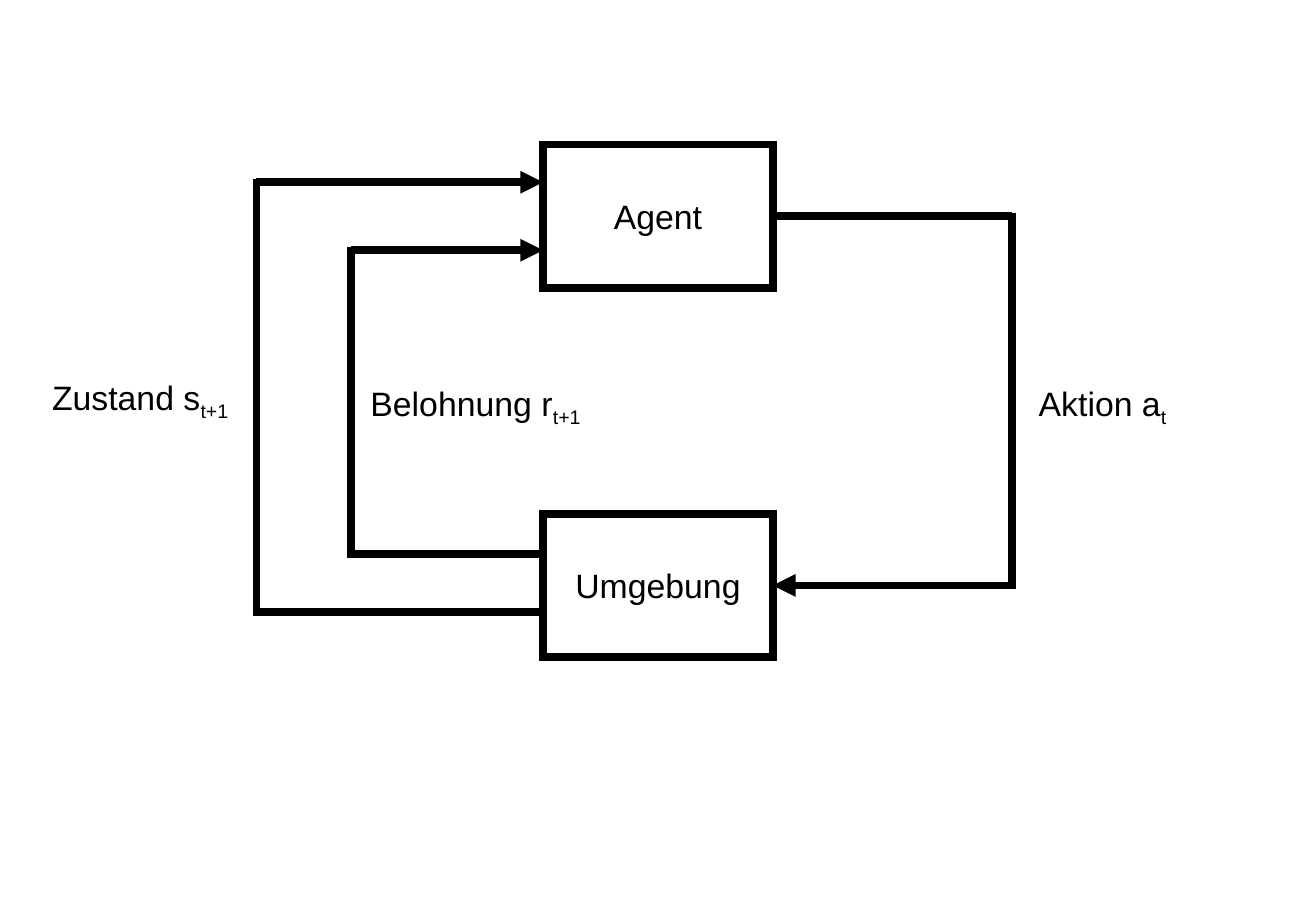
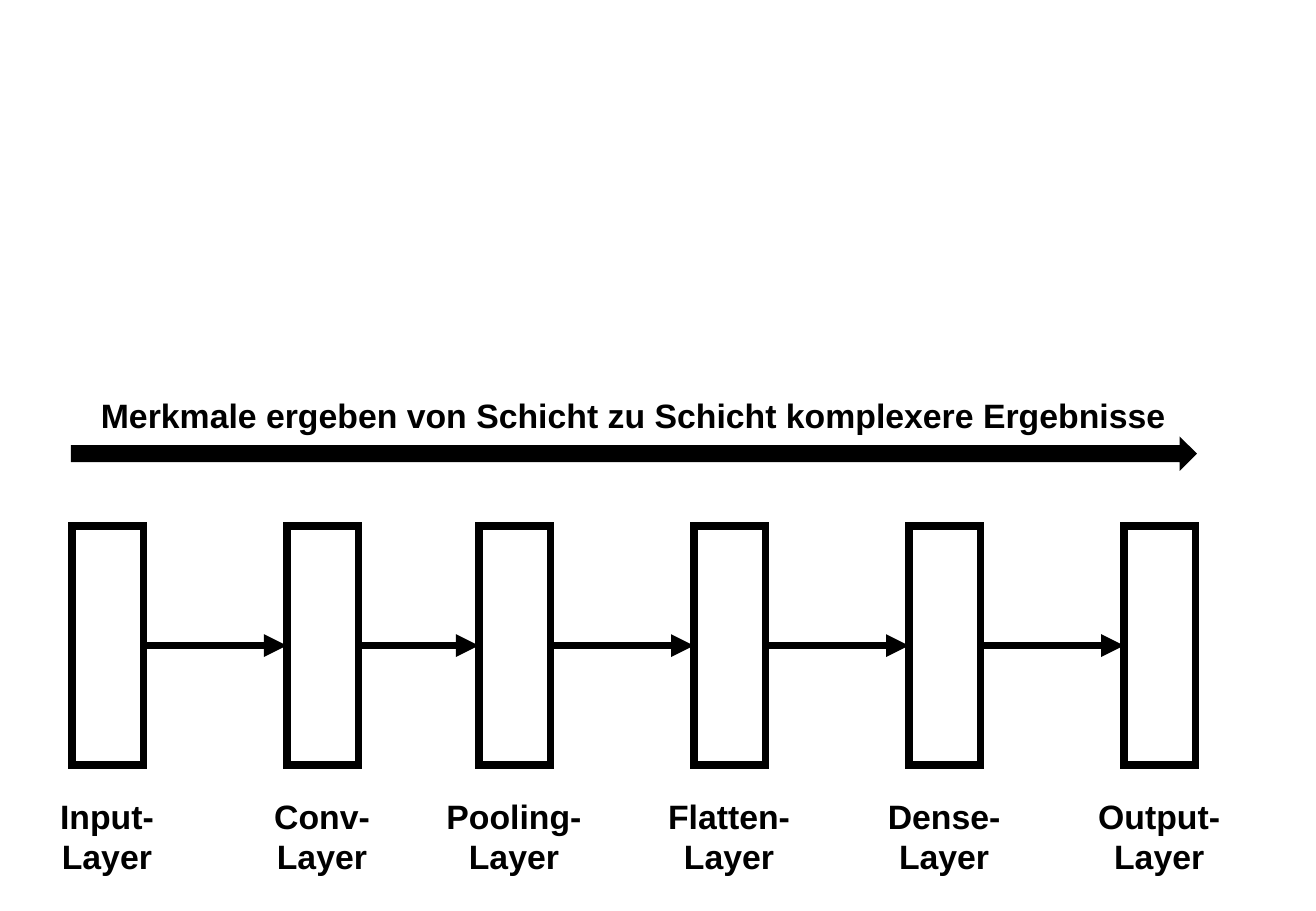
from dataclasses import dataclass
from itertools import pairwise

from lxml.etree import SubElement
from pptx import Presentation
from pptx.dml.color import RGBColor
from pptx.enum.shapes import MSO_CONNECTOR, MSO_SHAPE
from pptx.enum.text import MSO_ANCHOR, MSO_AUTO_SIZE, PP_ALIGN
from pptx.oxml.ns import qn
from pptx.shapes.autoshape import Shape
from pptx.shapes.connector import Connector
from pptx.slide import Slide
from pptx.text.text import TextFrame
from pptx.util import Emu, Pt

BLACK = "000000"
WHITE = "FFFFFF"
FONT = "Arial"
FONT_SIZE = 20
LINE_WIDTH = 4.5
LEFT_SIDE, RIGHT_SIDE = 1, 3
CORNER_OVERLAP = 3


@dataclass(frozen=True)
class Box:
    left: int
    top: int
    width: int
    height: int


@dataclass(frozen=True)
class Loop:
    """A three-part path from one box to the other, round by outer_x."""
    outer_x: int
    box_x: int
    agent_y: int
    environment_y: int
    arrow_at_agent: bool


@dataclass(frozen=True)
class Label:
    box: Box
    text: str
    subscript: str


@dataclass(frozen=True)
class Layer:
    left: int
    name: str


AGENT = Box(447, 119, 189, 118)
ENVIRONMENT = Box(447, 423, 189, 118)
ACTION_LOOP = Loop(833, 636, 178, 482, False)
LOOPS = [
    ACTION_LOOP,
    Loop(289, 447, 206, 456, True),
    Loop(211, 447, 150, 504, True),
]
LABELS = [
    Label(Box(295, 310, 198, 44), "Belohnung r", "t+1"),
    Label(Box(33, 305, 177, 44), "Zustand s", "t+1"),
    Label(Box(845, 310, 177, 44), "Aktion a", "t"),
]
LAYERS = [
    Layer(59, "Input-Layer"),
    Layer(236, "Conv-Layer"),
    Layer(394, "Pooling-Layer"),
    Layer(571, "Flatten-Layer"),
    Layer(748, "Dense-Layer"),
    Layer(925, "Output-Layer"),
]
LAYER_TOP, LAYER_WIDTH, LAYER_HEIGHT = 433, 59, 197
NAME_TOP, NAME_WIDTH, NAME_HEIGHT = 650, 138, 79


def px(length: int) -> Emu:
    """Turn px, 100 to the inch, into EMU."""
    return Emu(length * 9144)


def color(value: str) -> RGBColor:
    return RGBColor.from_string(value)


def add_run(frame: TextFrame, text: str, bold: bool = False, subscript: bool = False) -> None:
    run = frame.paragraphs[0].add_run()
    run.text = text
    run.font.name = FONT
    run.font.size = Pt(FONT_SIZE)
    run.font.bold = bold
    run.font.color.rgb = color(BLACK)
    if subscript:
        run._r.get_or_add_rPr().set("baseline", "-25000")


def add_box(slide: Slide, box: Box, fill: str = WHITE, line_width: float = LINE_WIDTH,
            kind: MSO_SHAPE = MSO_SHAPE.RECTANGLE) -> Shape:
    shape = slide.shapes.add_shape(
        kind, px(box.left), px(box.top), px(box.width), px(box.height))
    shape.shadow.inherit = False
    shape.fill.solid()
    shape.fill.fore_color.rgb = color(fill)
    shape.line.color.rgb = color(BLACK)
    shape.line.width = Pt(line_width)
    SubElement(shape.line._get_or_add_ln(), qn("a:miter"), lim="800000")
    return shape


def add_named_box(slide: Slide, box: Box, name: str) -> Shape:
    shape = add_box(slide, box)
    frame = shape.text_frame
    frame.vertical_anchor = MSO_ANCHOR.MIDDLE
    frame.paragraphs[0].alignment = PP_ALIGN.CENTER
    add_run(frame, name)
    return shape


def add_text_box(slide: Slide, box: Box, alignment: PP_ALIGN = PP_ALIGN.LEFT) -> TextFrame:
    shape = slide.shapes.add_textbox(
        px(box.left), px(box.top), px(box.width), px(box.height))
    frame = shape.text_frame
    frame.word_wrap = True
    frame.auto_size = MSO_AUTO_SIZE.SHAPE_TO_FIT_TEXT
    frame.paragraphs[0].alignment = alignment
    return frame


def add_line(slide: Slide, start: tuple[int, int], end: tuple[int, int],
             arrow: bool = False) -> Connector:
    connector = slide.shapes.add_connector(
        MSO_CONNECTOR.STRAIGHT, px(start[0]), px(start[1]), px(end[0]), px(end[1]))
    connector.line.color.rgb = color(BLACK)
    connector.line.width = Pt(LINE_WIDTH)
    if arrow:
        SubElement(connector.line._get_or_add_ln(), qn("a:tailEnd"), type="triangle")
    SubElement(connector._element.spPr, qn("a:effectLst"))
    return connector


def add_loop(slide: Slide, loop: Loop) -> tuple[Connector, Connector]:
    """Draw the loop and return its lines at the agent and at the environment."""
    add_line(slide, (loop.outer_x, loop.agent_y - CORNER_OVERLAP),
             (loop.outer_x, loop.environment_y + CORNER_OVERLAP))
    agent_line = add_line(slide, (loop.outer_x, loop.agent_y),
                          (loop.box_x, loop.agent_y), loop.arrow_at_agent)
    environment_line = add_line(slide, (loop.outer_x, loop.environment_y),
                                (loop.box_x, loop.environment_y), not loop.arrow_at_agent)
    return agent_line, environment_line


def build_learning_loop(slide: Slide) -> None:
    agent = add_named_box(slide, AGENT, "Agent")
    environment = add_named_box(slide, ENVIRONMENT, "Umgebung")
    for loop in LOOPS:
        agent_line, environment_line = add_loop(slide, loop)
        if loop is ACTION_LOOP:
            agent_line.end_connect(agent, RIGHT_SIDE)
            environment_line.end_connect(environment, RIGHT_SIDE)
    for label in LABELS:
        frame = add_text_box(slide, label.box)
        add_run(frame, label.text)
        add_run(frame, label.subscript, subscript=True)


def build_network_layers(slide: Slide) -> None:
    shapes = []
    for layer in LAYERS:
        shapes.append(add_box(slide, Box(layer.left, LAYER_TOP, LAYER_WIDTH, LAYER_HEIGHT)))
        name_left = layer.left + (LAYER_WIDTH - NAME_WIDTH) // 2
        name_box = Box(name_left, NAME_TOP, NAME_WIDTH, NAME_HEIGHT)
        add_run(add_text_box(slide, name_box, PP_ALIGN.CENTER), layer.name, bold=True)

    middle = LAYER_TOP + LAYER_HEIGHT // 2
    for (layer, shape), (next_layer, next_shape) in pairwise(zip(LAYERS, shapes)):
        connector = add_line(slide, (layer.left + LAYER_WIDTH, middle),
                             (next_layer.left, middle), arrow=True)
        connector.begin_connect(shape, RIGHT_SIDE)
        connector.end_connect(next_shape, LEFT_SIDE)

    add_box(slide, Box(59, 361, 925, 25), BLACK, 1, MSO_SHAPE.RIGHT_ARROW)
    heading = add_text_box(slide, Box(59, 320, 925, 44), PP_ALIGN.CENTER)
    add_run(heading, "Merkmale ergeben von Schicht zu Schicht komplexere Ergebnisse", bold=True)


def main() -> None:
    presentation = Presentation()
    presentation.slide_width = px(1083)
    presentation.slide_height = px(750)
    blank_layout = presentation.slide_layouts[6]
    for build in (build_learning_loop, build_network_layers):
        build(presentation.slides.add_slide(blank_layout))
    presentation.save("out.pptx")


if __name__ == "__main__":
    main()
